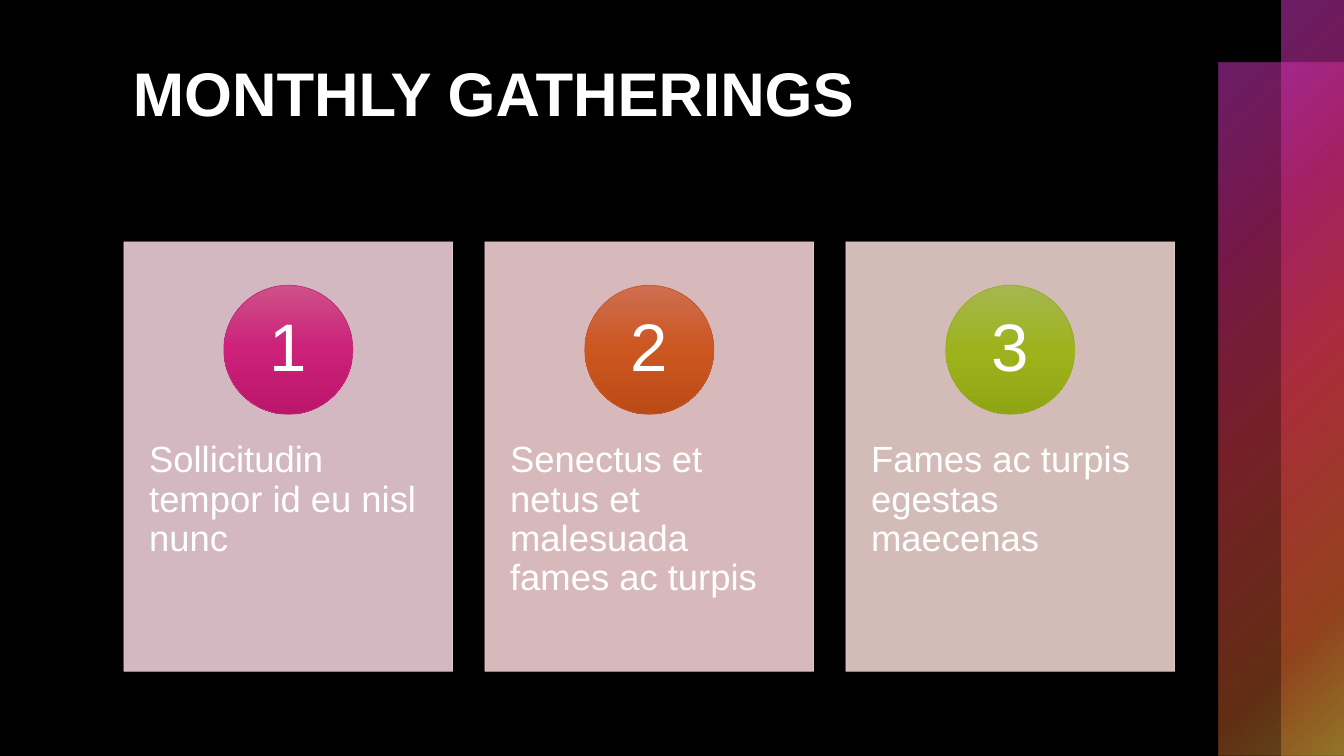
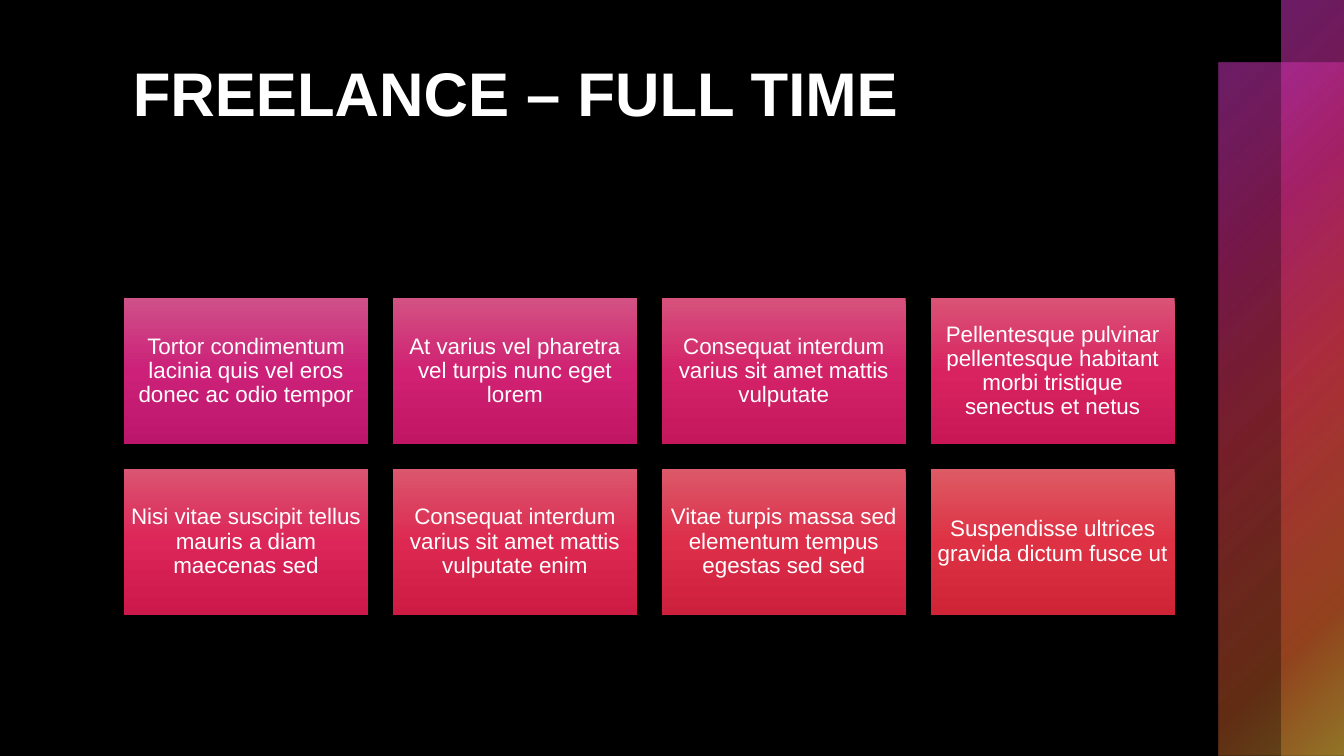
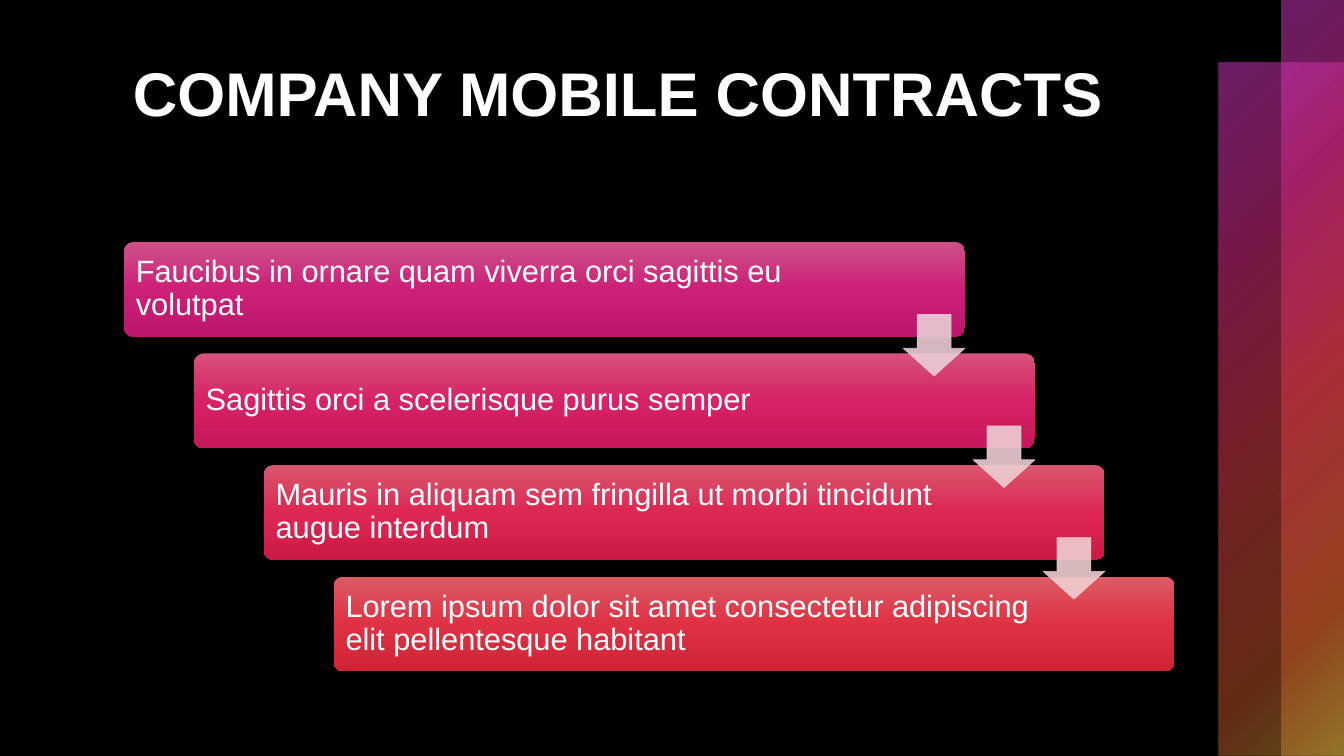
from collections import namedtuple
from dataclasses import dataclass

from lxml.etree import SubElement
from pptx import Presentation
from pptx.dml.color import RGBColor
from pptx.enum.shapes import MSO_SHAPE
from pptx.enum.text import MSO_ANCHOR, PP_ALIGN
from pptx.oxml.ns import qn
from pptx.util import Inches, Pt

Box = namedtuple("Box", "x y w h")


@dataclass(frozen=True)
class Theme:
    font: str = "Arial"
    back: str = "000000"
    text: str = "FFFFFF"
    title_size: int = 44
    number_size: int = 48
    card_size: int = 26
    step_size: int = 22
    tile_size: int = 16
    spacing: float = 0.9
    # (position, colour, opacity) in percent
    band: tuple = ((0, "D63ACC", 50), (25, "C42879", 60), (50, "D63A4A", 55),
                   (81, "C45928", 50), (99, "C39D35", 50))
    # top, middle and bottom colour of each glossy fill
    pink: tuple = ("CE5188", "CC2079", "BC166C")
    orange: tuple = ("CE6E51", "CC5620", "BC4A16")
    green: tuple = ("A5B750", "9DB31C", "90A513")
    red: tuple = ("DC5B65", "DE3244", "CE2435")


T = Theme()
SLIDE = Box(0, 0, 13.33, 7.5)
TITLE = Box(1.22, 0.5, 10.37, 1.7)
BODY = Box(1.23, 2.4, 10.42, 4.26)

CARDS = [
    ("Sollicitudin tempor id eu nisl nunc", "EACDD7", T.pink, "C42879"),
    ("Senectus et netus et malesuada fames ac turpis", "F0CED0", T.orange, "C45928"),
    ("Fames ac turpis egestas maecenas", "EAD1CD", T.green, "98AC23"),
]
TILES = [
    ("Tortor condimentum lacinia quis vel eros donec ac odio tempor", T.pink),
    ("At varius vel pharetra vel turpis nunc eget lorem",
     ("D25283", "D02172", "C01664")),
    ("Consequat interdum varius sit amet mattis vulputate",
     ("D6527C", "D42269", "C4175C")),
    ("Pellentesque pulvinar pellentesque habitant morbi tristique senectus et netus",
     ("D95376", "D92361", "C81754")),
    ("Nisi vitae suscipit tellus mauris a diam maecenas sed",
     ("DA5571", "DC2558", "CC184B")),
    ("Consequat interdum varius sit amet mattis vulputate enim",
     ("DA576D", "DD2951", "CD1B43")),
    ("Vitae turpis massa sed elementum tempus egestas sed sed",
     ("DB5969", "DD2E4A", "CD203C")),
    ("Suspendisse ultrices gravida dictum fusce ut", T.red),
]
STEPS = [
    ("Faucibus in ornare quam viverra orci sagittis eu volutpat", T.pink),
    ("Sagittis orci a scelerisque purus semper", ("D7527A", "D62266", "C51759")),
    ("Mauris in aliquam sem fringilla ut morbi tincidunt augue interdum",
     ("DA566E", "DC2853", "CD1A45")),
    ("Lorem ipsum dolor sit amet consectetur adipiscing elit pellentesque habitant",
     T.red),
]
ARROWS = ["EACDD7", "EDCED3", "F0CED0"]


def place(box):
    return [Inches(v) for v in box]


def spread(start, length, size, count):
    """Starts of equal parts that fill a length from end to end."""
    return [start + i * (length - size) / (count - 1) for i in range(count)]


def add_shape(s, kind, box, adjust=()):
    sp = s.shapes.add_shape(kind, *place(box))
    sp.shadow.inherit = False
    sp.fill.background()
    sp.line.fill.background()
    for i, value in enumerate(adjust):
        sp.adjustments[i] = value
    return sp


def set_gradient(sp, stops, radial=False):
    """Fill from the top left corner outwards, or straight down."""
    sp_pr = sp.fill._xPr
    grad = SubElement(sp_pr, qn("a:gradFill"), rotWithShape="1")
    sp_pr.replace(sp_pr.find(qn("a:noFill")), grad)
    stop_list = SubElement(grad, qn("a:gsLst"))
    for pos, color, alpha in stops:
        gs = SubElement(stop_list, qn("a:gs"), pos=str(pos * 1000))
        clr = SubElement(gs, qn("a:srgbClr"), val=color)
        if alpha < 100:
            SubElement(clr, qn("a:alpha"), val=str(alpha * 1000))
    if radial:
        route = SubElement(grad, qn("a:path"), path="circle")
        SubElement(route, qn("a:fillToRect"), r="100000", b="100000")
    else:
        SubElement(grad, qn("a:lin"), ang="5400000", scaled="0")


def set_gloss(sp, colors):
    set_gradient(sp, [(i * 50, c, 100) for i, c in enumerate(colors)])


def set_line(sp, color):
    sp.line.color.rgb = RGBColor.from_string(color)
    sp.line.width = Pt(0.5)


def set_pale(sp, color):
    """Slightly see-through fill and outline of one colour."""
    sp.fill.solid()
    sp.fill.fore_color.rgb = RGBColor.from_string(color)
    set_line(sp, color)
    for clr in sp.fill._xPr.iter(qn("a:srgbClr")):
        SubElement(clr, qn("a:alpha"), val="90000")


def set_text(sp, text, size, insets, align=PP_ALIGN.LEFT, anchor=MSO_ANCHOR.MIDDLE,
             bold=False, spacing=T.spacing):
    tf = sp.text_frame
    left, top, right, bottom = place(insets)
    frame = {"word_wrap": True, "vertical_anchor": anchor, "margin_left": left,
             "margin_top": top, "margin_right": right, "margin_bottom": bottom}
    for name, value in frame.items():
        setattr(tf, name, value)
    p = tf.paragraphs[0]
    p.alignment, p.line_spacing = align, spacing
    r = p.add_run()
    r.text = text
    for name, value in {"name": T.font, "size": Pt(size), "bold": bold}.items():
        setattr(r.font, name, value)
    r.font.color.rgb = RGBColor.from_string(T.text)


def add_base(prs, title):
    """Slide with the dark background, the two side bands and the title."""
    s = prs.slides.add_slide(prs.slide_layouts[6])
    s.background.fill.solid()
    s.background.fill.fore_color.rgb = RGBColor.from_string(T.back)
    for w, top in ((1.24, 0.62), (0.62, 0)):
        box = Box(SLIDE.w - w, top, w, SLIDE.h - top)
        set_gradient(add_shape(s, MSO_SHAPE.RECTANGLE, box), T.band, radial=True)
    set_text(s.shapes.add_textbox(*place(TITLE)), title, T.title_size,
             (0.1, 0.05, 0.1, 0.05), anchor=MSO_ANCHOR.TOP, bold=True, spacing=1.0)
    return s


def add_cards(s, box, cards):
    """Row of pale cards, each with a numbered disc above its text."""
    w, disc_size = 3.26, 1.28
    lefts = spread(box.x, box.w, w, len(cards))
    for i, (x, (text, pale, gloss, edge)) in enumerate(zip(lefts, cards), 1):
        card = add_shape(s, MSO_SHAPE.RECTANGLE, Box(x, box.y, w, box.h))
        set_pale(card, pale)
        set_text(card, text, T.card_size, (0.25, 1.98, 0.25, 0.44),
                 anchor=MSO_ANCHOR.TOP)
        disc = add_shape(s, MSO_SHAPE.OVAL, Box(x + (w - disc_size) / 2, box.y + 0.43,
                                                disc_size, disc_size))
        set_gloss(disc, gloss)
        set_line(disc, edge)
        set_text(disc, str(i), T.number_size, (0.1, 0.01, 0.1, 0.01), PP_ALIGN.CENTER)


def add_tiles(s, box, tiles, cols=4):
    """Grid of glossy tiles, filled row by row."""
    w, h = 2.42, 1.45
    lefts = spread(box.x, box.w, w, cols)
    tops = spread(box.y, box.h, h, len(tiles) // cols)
    for i, (text, gloss) in enumerate(tiles):
        tile = add_shape(s, MSO_SHAPE.RECTANGLE,
                         Box(lefts[i % cols], tops[i // cols], w, h))
        set_gloss(tile, gloss)
        set_text(tile, text, T.tile_size, (0.07,) * 4, PP_ALIGN.CENTER)


def add_steps(s, box, steps, arrows):
    """Staircase of bars, with an arrow from each bar to the next."""
    w, h, arrow_size = 8.34, 0.94, 0.61
    lefts = spread(box.x, box.w, w, len(steps))
    tops = spread(box.y, box.h, h, len(steps))
    for x, y, (text, gloss) in zip(lefts, tops, steps):
        bar = add_shape(s, MSO_SHAPE.ROUNDED_RECTANGLE, Box(x, y, w, h), (0.1,))
        set_gloss(bar, gloss)
        set_text(bar, text, T.step_size, (0.09, 0.09, 1.37, 0.09))
    for x, y, color in zip(lefts, tops, arrows):
        arrow = add_shape(s, MSO_SHAPE.DOWN_ARROW,
                          Box(x + w - arrow_size, y + 0.72, arrow_size, arrow_size),
                          (0.55, 0.45))
        set_pale(arrow, color)


def main():
    prs = Presentation()
    prs.slide_width, prs.slide_height = Inches(SLIDE.w), Inches(SLIDE.h)
    add_cards(add_base(prs, "MONTHLY GATHERINGS"), BODY, CARDS)
    add_tiles(add_base(prs, "FREELANCE – FULL TIME"),
              BODY._replace(y=2.96, h=3.14), TILES)
    add_steps(add_base(prs, "COMPANY MOBILE CONTRACTS"), BODY, STEPS, ARROWS)
    prs.save("out.pptx")


if __name__ == "__main__":
    main()
